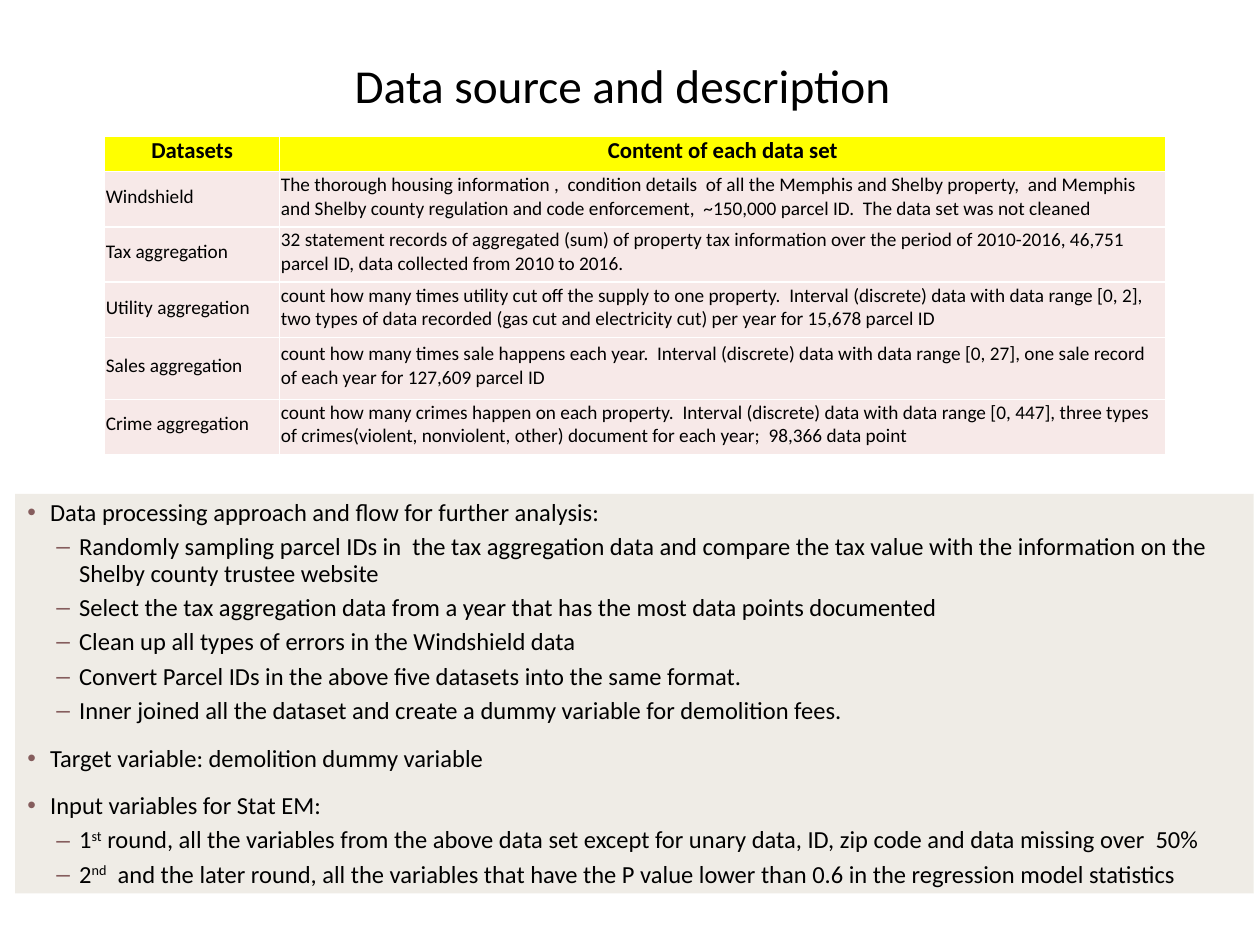
from lxml.etree import SubElement
from pptx import Presentation
from pptx.dml.color import RGBColor
from pptx.enum.shapes import MSO_SHAPE
from pptx.enum.text import MSO_ANCHOR, PP_ALIGN
from pptx.oxml.ns import qn
from pptx.util import Inches, Pt

BLACK = RGBColor(0x00, 0x00, 0x00)
WHITE = RGBColor(0xFF, 0xFF, 0xFF)
YELLOW = RGBColor(0xFF, 0xFF, 0x00)
PINK = RGBColor(0xF7, 0xE9, 0xE8)
SAND = RGBColor(0xE9, 0xE5, 0xDC)
PLUM = RGBColor(0x85, 0x5D, 0x5D)
FONT = "Calibri"

TITLE = "Data source and description"
DATASETS = [
    ("Datasets", "Content of each data set"),
    ("Windshield", "The thorough housing information ,  condition details  of all the Memphis and Shelby property,  and Memphis and Shelby county regulation and code enforcement,  ~150,000 parcel ID.  The data set was not cleaned"),
    ("Tax aggregation", "32 statement records of aggregated (sum) of property tax information over the period of 2010-2016, 46,751 parcel ID, data collected from 2010 to 2016."),
    ("Utility aggregation", "count how many times utility cut off the supply to one property.  Interval (discrete) data with data range [0, 2], two types of data recorded (gas cut and electricity cut) per year for 15,678 parcel ID"),
    ("Sales aggregation", "count how many times sale happens each year.  Interval (discrete) data with data range [0, 27], one sale record of each year for 127,609 parcel ID"),
    ("Crime aggregation", "count how many crimes happen on each property.  Interval (discrete) data with data range [0, 447], three types of crimes(violent, nonviolent, other) document for each year;  98,366 data point"),
]
COLUMN_WIDTHS = (1.39, 7.03)
ROW_HEIGHTS = (0.27, 0.44, 0.44, 0.44, 0.49, 0.42)

# (level, text); text between carets is superscript
STEPS = [
    (0, "Data processing approach and flow for further analysis:"),
    (1, "Randomly sampling parcel IDs in  the tax aggregation data and compare the tax value with the information on the Shelby county trustee website"),
    (1, "Select the tax aggregation data from a year that has the most data points documented"),
    (1, "Clean up all types of errors in the Windshield data"),
    (1, "Convert Parcel IDs in the above five datasets into the same format."),
    (1, "Inner joined all the dataset and create a dummy variable for demolition fees."),
    (0, "Target variable: demolition dummy variable"),
    (0, "Input variables for Stat EM:"),
    (1, "1^st^ round, all the variables from the above data set except for unary data, ID, zip code and data missing over  50%"),
    (1, "2^nd^  and the later round, all the variables that have the P value lower than 0.6 in the regression model statistics"),
]
# bullet, left margin in inches, space before in points
LEVELS = [("•", 0.18, 12), ("–", 0.41, 4.5)]
HANGING = 0.18


def set_font(paragraph, size, bold=False):
    font = paragraph.font
    font.name, font.size, font.bold = FONT, Pt(size), bold
    font.color.rgb = BLACK


def add_color(parent, color):
    fill = SubElement(parent, qn("a:solidFill"))
    return SubElement(fill, qn("a:srgbClr"), val=str(color))


def add_title(slide):
    title = slide.shapes.title
    title.left, title.top, title.width, title.height = map(Inches, (1, 0.28, 7.88, 0.67))
    frame = title.text_frame
    frame.text = TITLE
    frame.vertical_anchor = MSO_ANCHOR.BOTTOM
    heading = frame.paragraphs[0]
    heading.alignment, heading.line_spacing = PP_ALIGN.CENTER, 0.9
    set_font(heading, 27)


def style_cell(cell, text, is_header):
    cell.text = text
    cell.vertical_anchor = MSO_ANCHOR.MIDDLE
    cell.margin_left = cell.margin_right = cell.margin_top = Inches(0.01)
    cell.margin_bottom = Inches(0.05)
    properties = cell._tc.get_or_add_tcPr()
    for side in ("lnL", "lnR", "lnT", "lnB"):
        add_color(SubElement(properties, qn(f"a:{side}"), w=str(Pt(1))), WHITE)
    cell.fill.solid()
    cell.fill.fore_color.rgb = YELLOW if is_header else PINK
    paragraph = cell.text_frame.paragraphs[0]
    paragraph.alignment = PP_ALIGN.CENTER if is_header else PP_ALIGN.LEFT
    set_font(paragraph, 13 if is_header else 11, is_header)


def add_datasets(slide):
    table = slide.shapes.add_table(
        len(DATASETS), len(COLUMN_WIDTHS), Inches(0.83), Inches(1.08),
        Inches(sum(COLUMN_WIDTHS)), Inches(sum(ROW_HEIGHTS))).table
    table.horz_banding = False
    for column, width in zip(table.columns, COLUMN_WIDTHS):
        column.width = Inches(width)
    for r, (height, texts) in enumerate(zip(ROW_HEIGHTS, DATASETS)):
        table.rows[r].height = Inches(height)
        for c, text in enumerate(texts):
            style_cell(table.cell(r, c), text, r == 0)


def write_step(paragraph, level, text, is_first):
    bullet, margin, space = LEVELS[level]
    paragraph.level = level
    paragraph.alignment = PP_ALIGN.LEFT
    paragraph.line_spacing = 0.9
    paragraph.space_before = Pt(0 if is_first else space)
    properties = paragraph._p.get_or_add_pPr()
    properties.set("marL", str(Inches(margin)))
    properties.set("indent", str(-Inches(HANGING)))
    add_color_element = SubElement(properties, qn("a:buClr"))
    SubElement(add_color_element, qn("a:srgbClr"), val=str(PLUM))
    SubElement(properties, qn("a:buFont"), typeface="Arial")
    SubElement(properties, qn("a:buChar"), char=bullet)
    set_font(paragraph, 14)
    for i, part in enumerate(text.split("^")):
        run = paragraph.add_run()
        run.text = part
        if i % 2:
            run._r.get_or_add_rPr().set("baseline", "30000")


def add_steps(slide):
    panel = slide.shapes.add_shape(
        MSO_SHAPE.RECTANGLE, *map(Inches, (0.12, 3.92, 9.83, 3.17)))
    panel.shadow.inherit = False
    panel.line.fill.background()
    panel.fill.solid()
    panel.fill.fore_color.rgb = SAND
    color = panel._element.spPr.find(qn("a:solidFill")).find(qn("a:srgbClr"))
    SubElement(color, qn("a:alpha"), val="70000")
    frame = panel.text_frame
    frame.word_wrap = True
    frame.vertical_anchor = MSO_ANCHOR.TOP
    for i, (level, text) in enumerate(STEPS):
        paragraph = frame.add_paragraph() if i else frame.paragraphs[0]
        write_step(paragraph, level, text, i == 0)


def main():
    deck = Presentation()
    deck.slide_width, deck.slide_height = Inches(10), Inches(7.5)
    slide = deck.slides.add_slide(deck.slide_layouts[5])
    add_title(slide)
    add_steps(slide)
    add_datasets(slide)
    deck.save("out.pptx")


if __name__ == "__main__":
    main()
